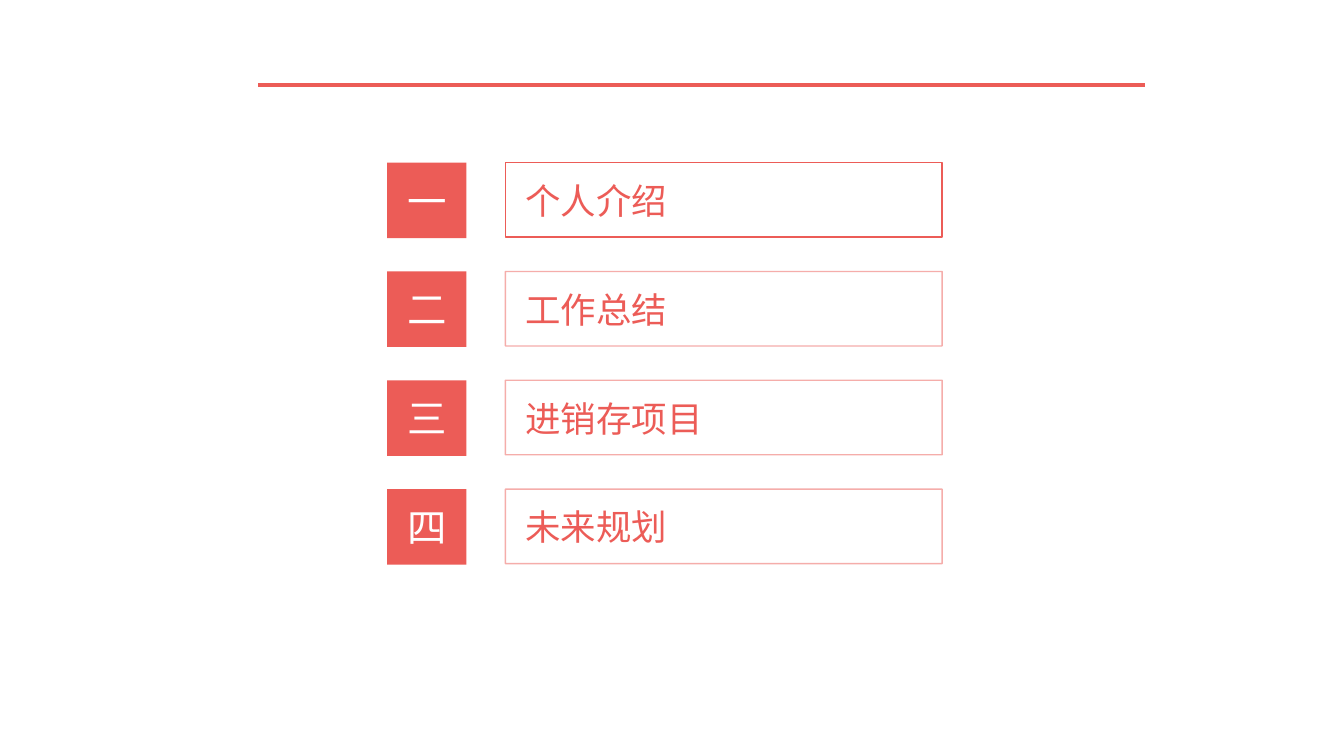
from lxml import etree
from pptx import Presentation
from pptx.dml.color import RGBColor
from pptx.enum.shapes import MSO_CONNECTOR, MSO_SHAPE
from pptx.enum.text import MSO_ANCHOR, MSO_AUTO_SIZE
from pptx.oxml.ns import qn
from pptx.util import Inches, Pt

RECTANGLE = MSO_SHAPE.RECTANGLE
STRAIGHT = MSO_CONNECTOR.STRAIGHT
MIDDLE = MSO_ANCHOR.MIDDLE
GROW = MSO_AUTO_SIZE.SHAPE_TO_FIT_TEXT

CORAL = RGBColor(0xEC, 0x5C, 0x57)
WHITE = RGBColor(0xFF, 0xFF, 0xFF)

CHAPTERS = [("一", "个人介绍"), ("二", "工作总结"), ("三", "进销存项目"), ("四", "未来规划")]
FIRST_ROW = 21.5
ROW_PITCH = 14.4


class AgendaSlide:
    font = "Roboto"

    def __init__(self, presentation):
        self.width = presentation.slide_width
        self.height = presentation.slide_height
        self.slide = presentation.slides.add_slide(presentation.slide_layouts[6])

    def across(self, percent):
        return round(self.width * percent / 100)

    def down(self, percent):
        return round(self.height * percent / 100)

    def place(self, left, top, width, height):
        return self.across(left), self.down(top), self.across(width), self.down(height)

    def rectangle(self, *area):
        shape = self.slide.shapes.add_shape(RECTANGLE, *self.place(*area))
        shape.shadow.inherit = False
        return shape

    def block(self, *area):
        shape = self.rectangle(*area)
        shape.fill.solid()
        shape.fill.fore_color.rgb = CORAL
        shape.line.fill.background()

    def frame(self, *area, opacity):
        shape = self.rectangle(*area)
        shape.fill.background()
        shape.line.color.rgb = CORAL
        shape.line.width = Pt(1)
        if opacity < 100:
            color = shape.line._ln.find(".//" + qn("a:srgbClr"))
            etree.SubElement(color, qn("a:alpha"), val=str(opacity * 1000))

    def text(self, words, *area, size, color, inset, wrap):
        text_frame = self.slide.shapes.add_textbox(*self.place(*area)).text_frame
        text_frame.text = words
        text_frame.word_wrap = wrap
        text_frame.auto_size = GROW
        text_frame.vertical_anchor = MIDDLE
        text_frame.margin_left = text_frame.margin_right = Inches(inset)
        text_frame.margin_top = text_frame.margin_bottom = Inches(inset)
        font = text_frame.paragraphs[0].runs[0].font
        font.name = self.font
        font.size = Pt(size)
        font.color.rgb = color

    def rule(self, left, right, level):
        connector = self.slide.shapes.add_connector(
            STRAIGHT, self.across(left), self.down(level), self.across(right), self.down(level))
        connector.line.color.rgb = CORAL
        connector.line.width = Pt(3)
        etree.SubElement(connector._element.spPr, qn("a:effectLst"))

    def chapter(self, number, title, top, opacity):
        self.block(28.8, top, 5.9, 10)
        self.text(number, 30, top + 1.33, 5.9, 7.33, size=29.7, color=WHITE, inset=0.04, wrap=True)
        self.frame(37.6, top, 32.5, 9.86, opacity=opacity)
        self.text(title, 38.95, top + 1.95, 2.7 * len(title) + 0.08, 6.07,
                  size=26.7, color=CORAL, inset=0.02, wrap=False)


def main():
    presentation = Presentation()
    presentation.slide_width = Inches(14.06)
    presentation.slide_height = Inches(7.91)
    agenda = AgendaSlide(presentation)
    for index, (number, title) in enumerate(CHAPTERS):
        opacity = 100 if index == 0 else 50
        agenda.chapter(number, title, FIRST_ROW + index * ROW_PITCH, opacity)
    agenda.rule(19.2, 85.2, 11.25)
    presentation.save("out.pptx")


if __name__ == "__main__":
    main()
